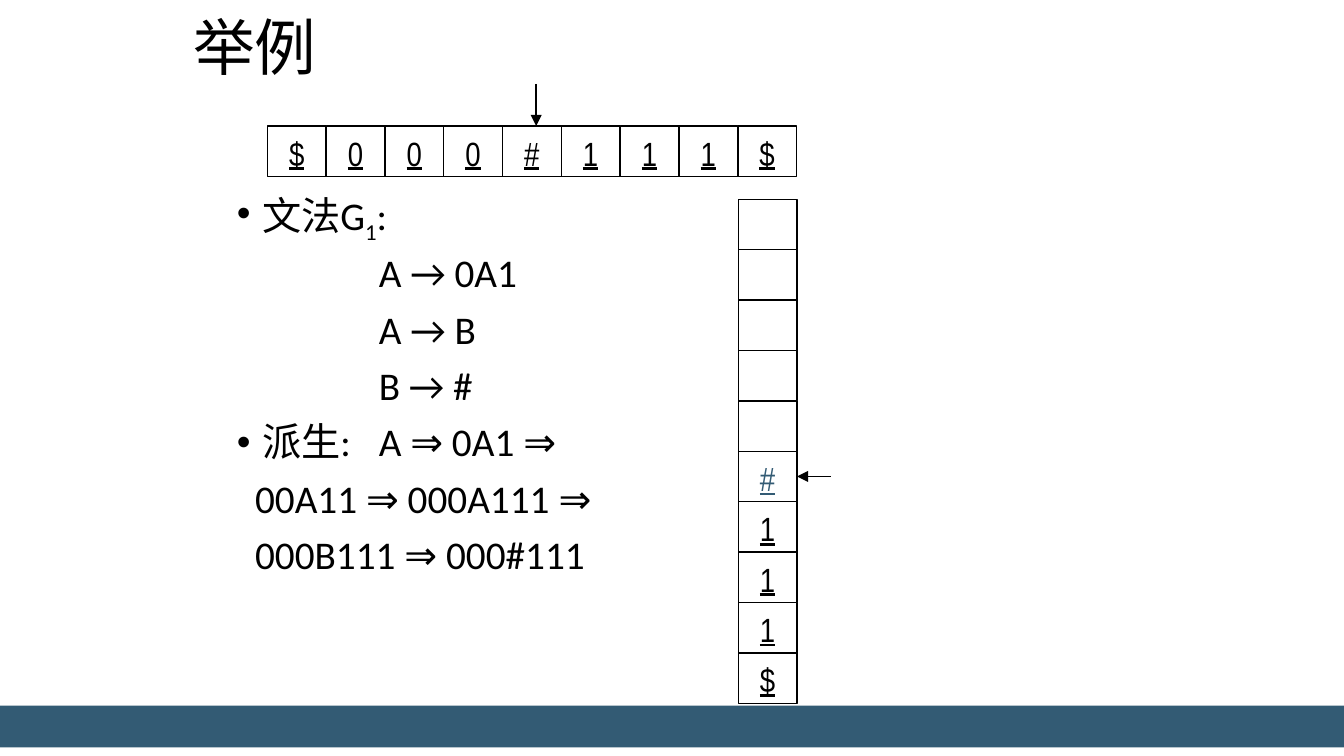
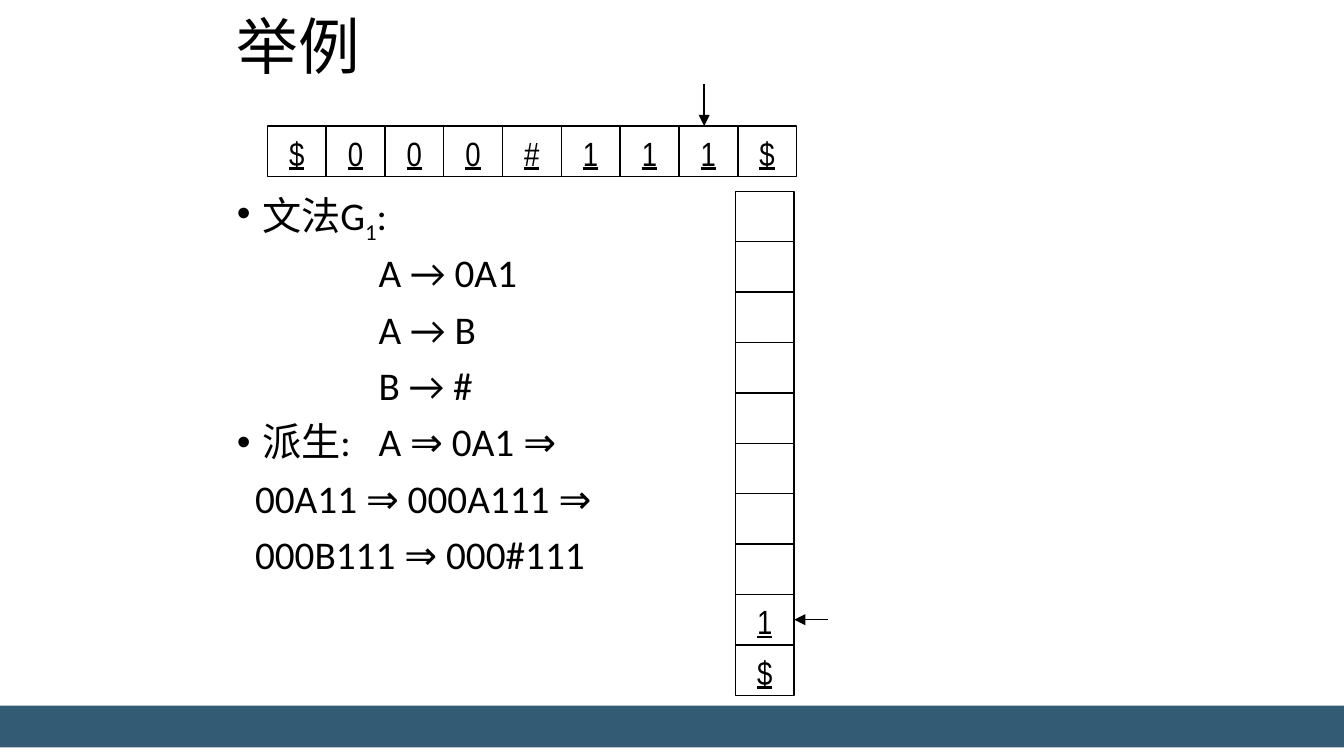
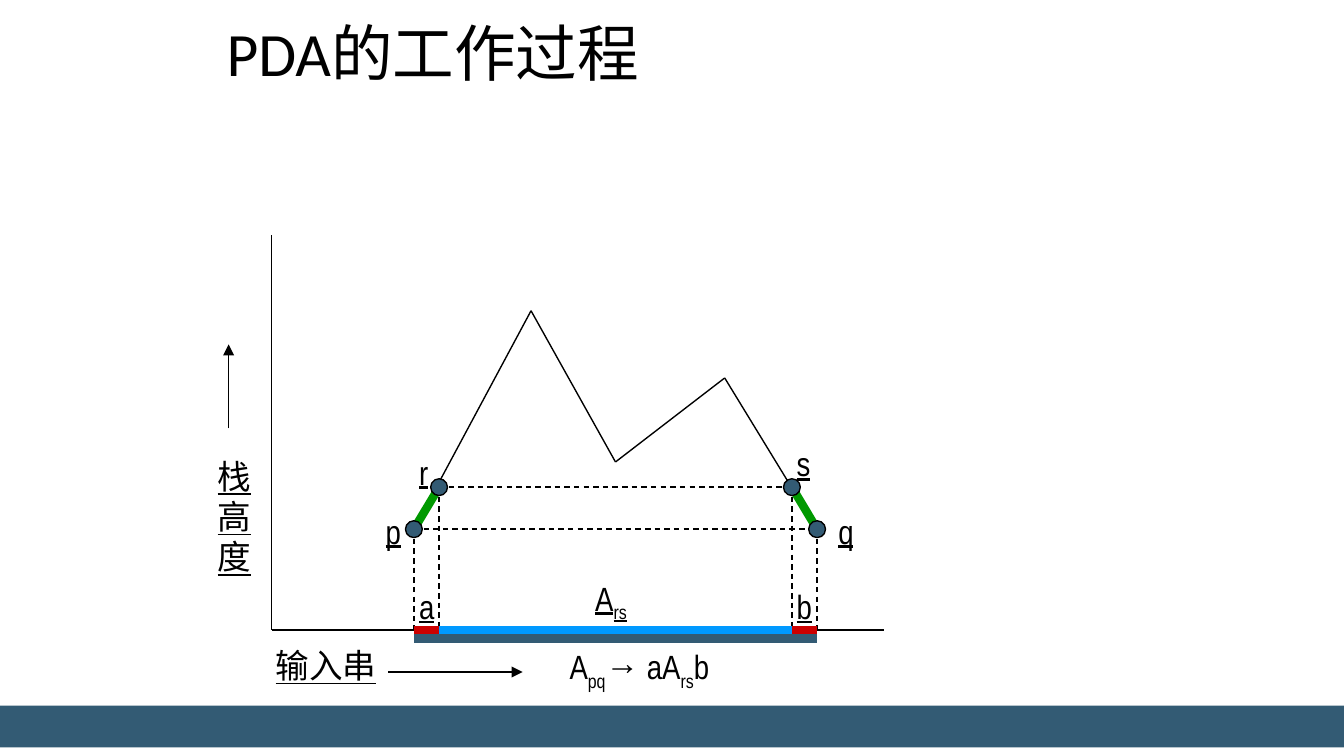
import collections
import itertools

import lxml.etree
import pptx
import pptx.dml.color
import pptx.enum.dml
import pptx.enum.shapes
import pptx.enum.text
import pptx.oxml.ns
import pptx.util

Pt = pptx.util.Pt
qn = pptx.oxml.ns.qn
SHAPES = pptx.enum.shapes.MSO_SHAPE
Box = collections.namedtuple("Box", "left top width height")


class Theme:
    """Colours, fonts, type sizes and line widths of the deck."""
    INK, ACCENT = "000000", "335B74"
    GREEN, BLUE, RED = "009900", "0099FF", "CC0000"
    TITLE = {"name": "Calibri", "size": Pt(33)}
    BODY = {"name": "Calibri", "size": Pt(21)}
    SYMBOL = {"name": "Arial Narrow", "size": Pt(18), "underline": True}
    FORMULA = {"name": "Arial Narrow", "size": Pt(18)}
    TIGHT_INSET = (5.4, 3.6)
    LABEL_INSET = (7.2, 3.6)
    THIN, THICK = 0.75, 4.5


SLIDE_WIDTH, SLIDE_HEIGHT = 720, 405
CELL_WIDTH, CELL_HEIGHT = 31.5, 27
SYMBOL_WIDTH, SYMBOL_HEIGHT = 22.5, 28.8
DOT = 9
RULE_INDENT = 76

# Runs are (text, is subscript) pairs; lines are (bullet, left margin, runs).
GRAMMAR = [
    (True, 13.5, [("文法G", False), ("1", True), (":", False)]),
    (False, RULE_INDENT, [("A → 0A1", False)]),
    (False, RULE_INDENT, [("A → B", False)]),
    (False, RULE_INDENT, [("B → #", False)]),
    (True, 13.5, [("派生:\tA ⇒ 0A1 ⇒", False)]),
    (False, 9.75, [("00A11 ⇒ 000A111 ⇒", False)]),
    (False, 9.75, [("000B111 ⇒ 000#111", False)]),
]


def rgb(color):
    """Turn a hex string into a colour."""
    return pptx.dml.color.RGBColor.from_string(color)


def add_runs(paragraph, runs, style, color=Theme.INK):
    """Write (text, is subscript) runs in one style."""
    for text, subscript in runs:
        run = paragraph.add_run()
        run.text = text
        for name, value in style.items():
            setattr(run.font, name, value)
        run.font.color.rgb = rgb(color)
        if subscript:
            run.font._element.set("baseline", "-25000")


def add_frame(slide, box, inset):
    """Place an empty wrapping text box and return its text frame."""
    frame = slide.shapes.add_textbox(*map(Pt, box)).text_frame
    across, down = map(Pt, inset)
    values = {"word_wrap": True, "margin_left": across, "margin_right": across,
              "margin_top": down, "margin_bottom": down}
    for name, value in values.items():
        setattr(frame, name, value)
    return frame


def add_label(slide, box, runs, style=Theme.SYMBOL, color=Theme.INK):
    """Write a one-paragraph label in the box."""
    frame = add_frame(slide, box, Theme.LABEL_INSET)
    add_runs(frame.paragraphs[0], runs, style, color)


def add_shape(slide, kind, box, fill=None, outline=None):
    """Place a flat preset shape, with or without fill and outline."""
    shape = slide.shapes.add_shape(kind, *map(Pt, box))
    shape.shadow.inherit = False
    if fill:
        shape.fill.solid()
        shape.fill.fore_color.rgb = rgb(fill)
    else:
        shape.fill.background()
    if outline:
        shape.line.color.rgb = rgb(outline)
        shape.line.width = Pt(Theme.THIN)
    else:
        shape.line.fill.background()


def add_line(slide, start, end, color=Theme.INK, width=Theme.THIN,
             dashed=False, arrow=False):
    """Draw a straight line, optionally dashed or with an arrowhead at its end."""
    line = slide.shapes.add_connector(
        pptx.enum.shapes.MSO_CONNECTOR.STRAIGHT, *map(Pt, (*start, *end)))
    line.line.color.rgb = rgb(color)
    line.line.width = Pt(width)
    if dashed:
        line.line.dash_style = pptx.enum.dml.MSO_LINE.DASH
    if arrow:
        lxml.etree.SubElement(line.line._get_or_add_ln(), qn("a:tailEnd"), type="triangle")
    lxml.etree.SubElement(line._element.spPr, qn("a:effectLst"))


def add_title(slide, box, text):
    """Write the slide title."""
    paragraph = add_frame(slide, box, Theme.TIGHT_INSET).paragraphs[0]
    paragraph.line_spacing = 0.9
    add_runs(paragraph, [(text, False)], Theme.TITLE)


def add_band(slide):
    """Draw the band near the bottom edge."""
    add_shape(slide, SHAPES.RECTANGLE, Box(0, 378, SLIDE_WIDTH, 22.5), fill=Theme.ACCENT)


def add_grammar(slide, box):
    """Write the grammar rules and the derivation."""
    frame = add_frame(slide, box, Theme.TIGHT_INSET)
    for index, (bullet, margin, runs) in enumerate(GRAMMAR):
        paragraph = frame.add_paragraph() if index else frame.paragraphs[0]
        paragraph.line_spacing = 0.9
        paragraph.space_before = Pt(7.5)
        properties = paragraph._p.get_or_add_pPr()
        properties.set("marL", str(Pt(margin)))
        if bullet:
            properties.set("indent", str(-Pt(margin)))
            lxml.etree.SubElement(properties, qn("a:buFont"), typeface="Arial")
            lxml.etree.SubElement(properties, qn("a:buChar"), char="•")
            stops = lxml.etree.SubElement(properties, qn("a:tabLst"))
            lxml.etree.SubElement(stops, qn("a:tab"), pos=str(Pt(RULE_INDENT)), algn="l")
        add_runs(paragraph, runs, Theme.BODY)


def add_cell(slide, left, top, symbol, color=Theme.INK):
    """Draw one cell of the tape or stack with its symbol, if any."""
    add_shape(slide, SHAPES.RECTANGLE, Box(left, top, CELL_WIDTH, CELL_HEIGHT),
              outline=Theme.INK)
    if symbol:
        width = CELL_WIDTH if symbol == "$" else SYMBOL_WIDTH
        inner_left = left + (CELL_WIDTH - SYMBOL_WIDTH) / 2
        add_label(slide, Box(inner_left, top, width, SYMBOL_HEIGHT),
                  [(symbol, False)], color=color)


def add_tape(slide, left, top, symbols, head):
    """Draw the input tape and the reading head, head points from its left."""
    for index, symbol in enumerate(symbols):
        add_cell(slide, left + index * CELL_WIDTH, top, symbol)
    add_line(slide, (left + head, top - 22.5), (left + head, top), arrow=True)


def add_stack(slide, left, top, depth, symbols):
    """Draw a stack whose symbols fill its lowest cells, and point at its top symbol."""
    free = depth - len(symbols)
    for index, symbol in enumerate([""] * free + list(symbols)):
        color = Theme.ACCENT if symbol == "#" else Theme.INK
        add_cell(slide, left, top + index * CELL_HEIGHT, symbol, color)
    right, middle = left + CELL_WIDTH, top + (free + 0.5) * CELL_HEIGHT
    add_line(slide, (right + 18, middle), (right, middle), arrow=True)


def add_height_plot(slide, box):
    """Plot stack height against input; places count right and up from the origin."""
    def at(right, up):
        return box.left + right, box.top + box.height - up

    def line(start, end, **look):
        add_line(slide, at(*start), at(*end), **look)

    def label(right, up, *runs, width=SYMBOL_WIDTH, height=SYMBOL_HEIGHT,
              style=Theme.SYMBOL):
        add_label(slide, Box(*at(right, up), width, height), runs, style)

    p, r, s, q = (76.25, 54), (89.75, 76.5), (278.75, 76.5), (292.25, 54)
    curve = [p, (139, 171), (184.25, 90), (242.75, 135), q]

    line((0, 0), (box.width, 0))
    line((0, 0), (0, box.height))
    label(-5, -4.5, ("输入串", False), width=76.5)
    label(-36, 97, ("栈高度", False), width=27.4, height=72.7)
    line((62.5, -22.5), (134.5, -22.5), arrow=True)
    line((-23, 108), (-23, 153), arrow=True)

    for start, end in itertools.pairwise(curve):
        line(start, end)
    for start, end in [(p, q), (r, s)]:
        line(start, end, dashed=True)
    for state in (p, r, s, q):
        line(state, (state[0], 0), dashed=True)
    for start, end in [(r, p), (s, q)]:
        line(start, end, color=Theme.GREEN, width=Theme.THICK)

    spans = [(r, s, 0, Theme.BLUE), (p, r, 0, Theme.RED),
             (s, q, 0, Theme.RED), (p, q, -4.5, Theme.ACCENT)]
    for start, end, up, color in spans:
        line((start[0], up), (end[0], up), color=color, width=Theme.THICK)

    for state in (p, r, s, q):
        left, top = at(state[0] - DOT / 2, state[1] + DOT / 2)
        add_shape(slide, SHAPES.OVAL, Box(left, top, DOT, DOT),
                  fill=Theme.ACCENT, outline=Theme.INK)

    letters = [("p", 54, 67.5), ("q", 296.5, 67.5), ("r", 72, 99),
               ("s", 274.25, 103.5), ("a", 72, 27), ("b", 274.25, 27)]
    for letter, right, up in letters:
        label(right, up, (letter, False))
    label(166.25, 31.5, ("A", False), ("rs", True), width=33.75)
    label(152.5, -5.25, ("A", False), ("pq", True), ("→ aA", False),
          ("rs", True), ("b", False), width=99, style=Theme.FORMULA)


def new_slide(deck, title_box, title):
    """Add a blank slide with its title and band."""
    slide = deck.slides.add_slide(deck.slide_layouts[6])
    add_title(slide, title_box, title)
    add_band(slide)
    return slide


def add_example_slide(deck, title_box, body_width, head, stack_corner, stack):
    """Show one step of the automaton: grammar, tape and stack."""
    slide = new_slide(deck, title_box, "举例")
    add_grammar(slide, Box(121.5, 99.25, body_width, 274.5))
    add_tape(slide, 143.25, 67.5, "$000#111$", head)
    add_stack(slide, *stack_corner, 10, stack)


def add_process_slide(deck):
    """Show how the stack height changes along the input."""
    slide = new_slide(deck, Box(116, 8.75, 486, 67.5), "PDA的工作过程")
    add_height_plot(slide, Box(145.5, 126, 328.25, 211.5))


deck = pptx.Presentation()
deck.slide_width, deck.slide_height = Pt(SLIDE_WIDTH), Pt(SLIDE_HEIGHT)
add_example_slide(deck, Box(98, 5.5, 459, 67.5), 292.5, 144, (395.5, 106.75), "#111$")
add_example_slide(deck, Box(121.5, 5.25, 459, 67.5), 312.5, 234, (394, 102.5), "1$")
add_process_slide(deck)
deck.save("out.pptx")
